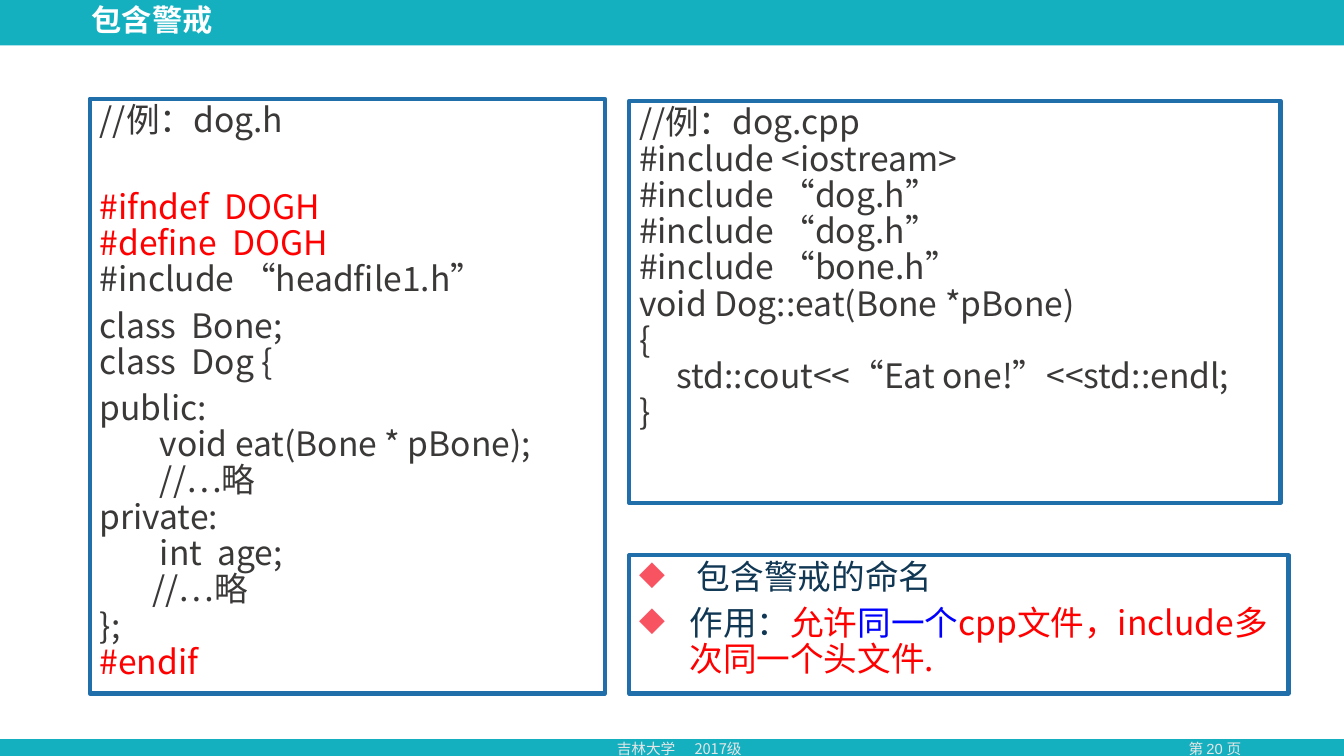
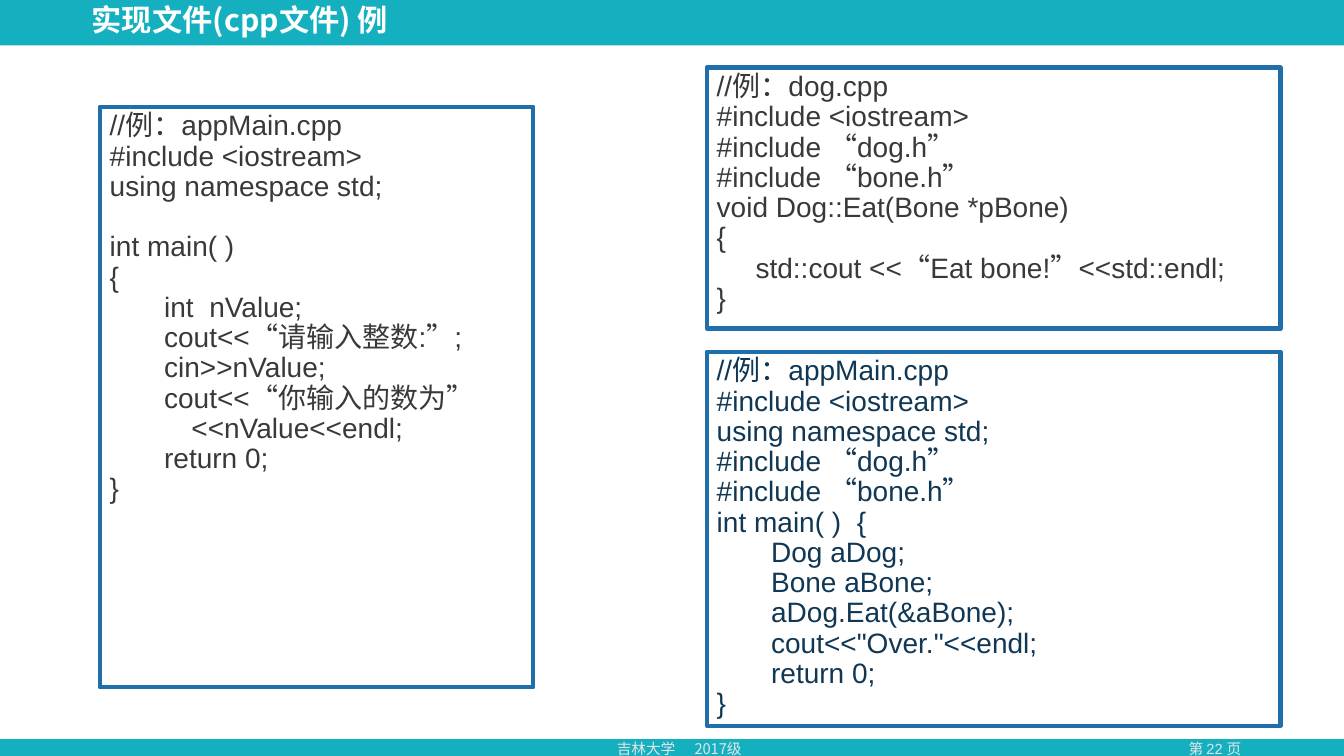
from lxml.etree import SubElement
from pptx import Presentation
from pptx.dml.color import RGBColor
from pptx.enum.shapes import MSO_SHAPE as SHAPE
from pptx.enum.text import MSO_ANCHOR as ANCHOR, PP_ALIGN as ALIGN
from pptx.oxml.ns import qn
from pptx.util import Inches, Pt

TEAL = RGBColor(0x14, 0xB0, 0xC0)
WHITE = RGBColor(0xFF, 0xFF, 0xFF)
BLUE = RGBColor(0x20, 0x6F, 0xAA)
PALE = RGBColor(0xE7, 0xE6, 0xE6)
GREY = RGBColor(0x3B, 0x38, 0x38)
NAVY = RGBColor(0x10, 0x37, 0x54)
RED = RGBColor(0xFF, 0x00, 0x00)
PURE = RGBColor(0x00, 0x00, 0xFF)
CORAL = "F85360"
SANS = "Noto Sans CJK SC"
ARIAL = "Arial"
WIDE = 13.33

DOG_H = [
    ["//例：dog.h"],
    [("#ifndef  DOGH\n#define  DOGH\n", RED), "#include “headfile1.h”"],
    ["class  Bone;\nclass  Dog {"],
    ["""public:
        void eat(Bone * pBone);
        //…略
private:
        int  age;
       //…略
};
""", ("#endif", RED)],
]
DOG_TWICE = """//例：dog.cpp
#include <iostream>
#include “dog.h”
#include “dog.h”
#include “bone.h”
void Dog::eat(Bone *pBone)
{
     std::cout<<“Eat one!”<<std::endl;
}"""
GUARD = [
    [" 包含警戒的命名"],
    ["作用：", ("允许", RED), ("同一个", PURE),
     ("cpp文件，include多次同一个头文件.", RED)],
]
APP_IN = """//例：appMain.cpp
#include <iostream>
using namespace std;

int main( )
{
       int  nValue;
       cout<<“请输入整数:”;
       cin>>nValue;
       cout<<“你输入的数为”
             <<nValue<<endl;
       return 0;
}"""
DOG_CPP = """//例：dog.cpp
#include <iostream>
#include “dog.h”
#include “bone.h”
void Dog::Eat(Bone *pBone)
{
     std::cout <<“Eat bone!”<<std::endl;
}"""
APP_DOG = """//例：appMain.cpp
#include <iostream>
using namespace std;
#include “dog.h”
#include “bone.h”
int main( )  {
       Dog aDog;
       Bone aBone;
       aDog.Eat(&aBone);
       cout<<"Over."<<endl;
       return 0;
}"""


def style(para, size, face, color, bold=False):
    font = para.font
    font.size, font.name, font.bold = Pt(size), face, bold
    font.color.rgb = color
    base = para._p.pPr.find(qn("a:defRPr"))
    SubElement(base, qn("a:ea"), typeface=SANS)


def add_box(slide, box):
    shape = slide.shapes.add_textbox(*map(Inches, box))
    shape.text_frame.word_wrap = True
    return shape


def fill_para(para, parts):
    """Write parts, each a text or a (text, colour) pair, into a paragraph."""
    for part in parts:
        text, color = (part, None) if isinstance(part, str) else part
        for i, line in enumerate(text.split("\n")):
            if i:
                para.add_line_break()
            if line:
                run = para.add_run()
                run.text = line
                if color is not None:
                    run.font.color.rgb = color


def add_bullet(para):
    props = para._p.get_or_add_pPr()
    props.set("marL", str(Inches(0.5)))
    props.set("indent", str(-Inches(0.5)))
    tint = SubElement(props, qn("a:buClr"))
    SubElement(tint, qn("a:srgbClr"), val=CORAL)
    SubElement(props, qn("a:buChar"), char="◆")


def add_panel(slide, box, paras, size, face, color=GREY, gaps=(), bullet=False):
    """Draw a blue frame of text; gaps are the spaces before later paragraphs."""
    shape = add_box(slide, box)
    shape.line.color.rgb = BLUE
    shape.line.width = Pt(3)
    frame = shape.text_frame
    for i, parts in enumerate(paras):
        para = frame.add_paragraph() if i else frame.paragraphs[0]
        para.line_spacing = 0.9
        if i:
            para.space_before = Pt(gaps[i - 1])
        if bullet:
            add_bullet(para)
        style(para, size, face, color)
        fill_para(para, parts)


def add_foot(slide, page):
    para = add_box(slide, (6.02, 7.29, 1.84, 0.28)).text_frame.paragraphs[0]
    para.text = "吉林大学\t2017级"
    tabs = SubElement(para._p.get_or_add_pPr(), qn("a:tabLst"))
    SubElement(tabs, qn("a:tab"), pos=str(Inches(0.77)), algn="l")
    style(para, 10.5, SANS, PALE)

    para = add_box(slide, (11.32, 7.29, 1.46, 0.28)).text_frame.paragraphs[0]
    para.text = f"第 {page} 页"
    para.alignment = ALIGN.CENTER
    style(para, 10.5, ARIAL, PALE)


def add_slide(prs, title, page):
    """Start a slide with its white sheet, title and footer."""
    slide = prs.slides.add_slide(prs.slide_layouts[5])
    sheet = slide.shapes.add_shape(
        SHAPE.RECTANGLE, 0, Inches(0.45), Inches(WIDE), Inches(6.88))
    sheet.shadow.inherit = False
    sheet.fill.solid()
    sheet.fill.fore_color.rgb = WHITE
    sheet.line.fill.background()

    head = slide.shapes.title
    head.left, head.top, head.width, head.height = map(
        Inches, (0.81, 0, 9.5, 0.44))
    frame = head.text_frame
    frame.vertical_anchor = ANCHOR.MIDDLE
    para = frame.paragraphs[0]
    para.text = title
    para.alignment = ALIGN.LEFT
    para.line_spacing = 0.9
    style(para, 21.6, SANS, WHITE, True)
    add_foot(slide, page)
    return slide


def add_guard(prs):
    slide = add_slide(prs, "包含警戒", 20)
    add_panel(slide, (0.89, 0.98, 5.11, 5.9), DOG_H, 24, SANS, gaps=(36, 7, 7))
    add_panel(slide, (6.24, 1, 6.46, 3.99), [[DOG_TWICE]], 24, SANS)
    add_panel(slide, (6.24, 5.51, 6.54, 1.37), GUARD, 24, SANS, NAVY,
              gaps=(7,), bullet=True)


def add_source(prs):
    slide = add_slide(prs, "实现文件(cpp文件) 例", 22)
    for box, code, color in (
        ((0.99, 1.06, 4.3, 5.76), APP_IN, GREY),
        ((7.01, 0.67, 5.69, 2.59), DOG_CPP, GREY),
        ((7.01, 3.49, 5.69, 3.71), APP_DOG, NAVY),
    ):
        add_panel(slide, box, [[code]], 20, ARIAL, color)


def main():
    prs = Presentation()
    prs.slide_width, prs.slide_height = Inches(WIDE), Inches(7.5)
    back = prs.slide_master.background.fill
    back.solid()
    back.fore_color.rgb = TEAL
    add_guard(prs)
    add_source(prs)
    prs.save("out.pptx")


if __name__ == "__main__":
    main()
